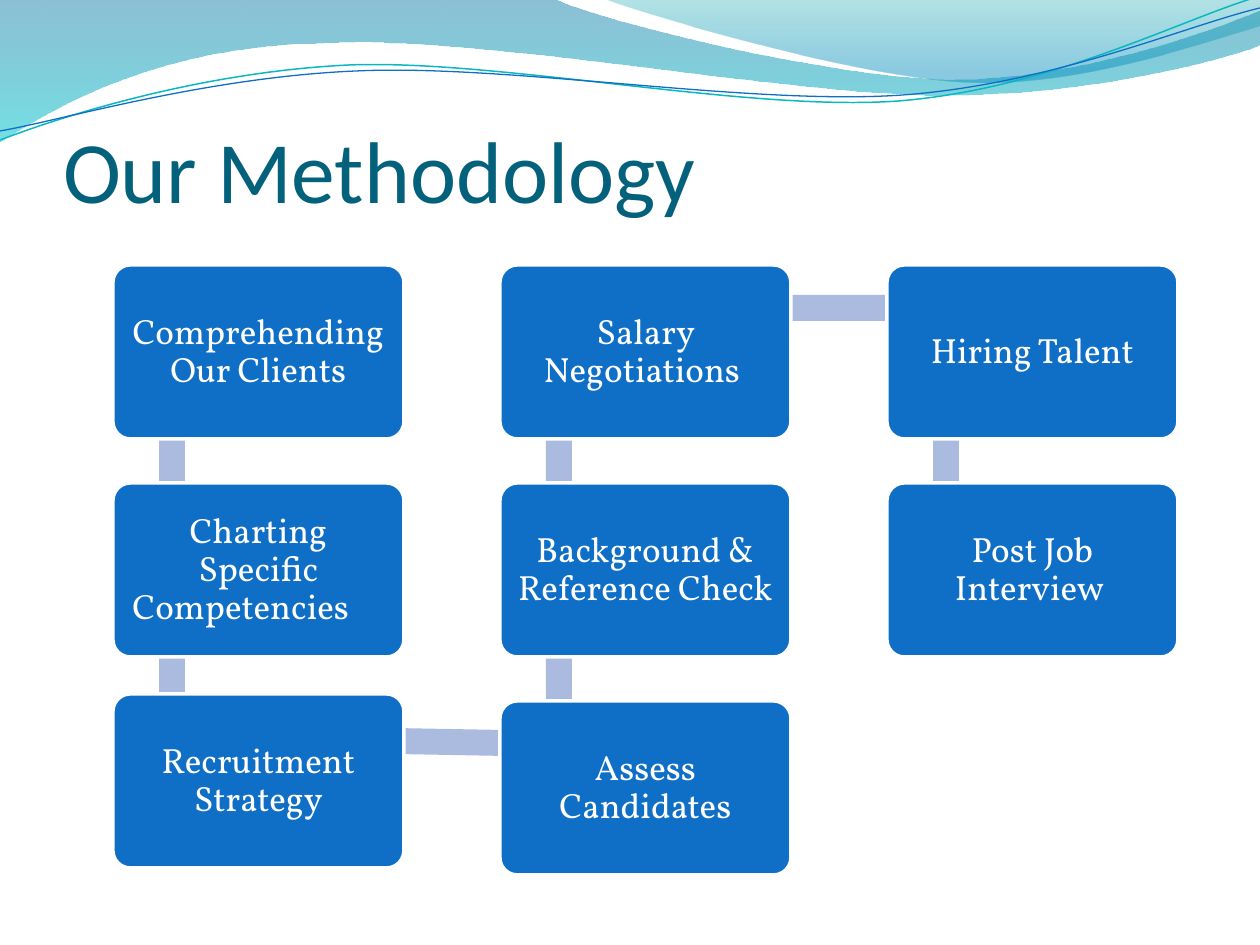
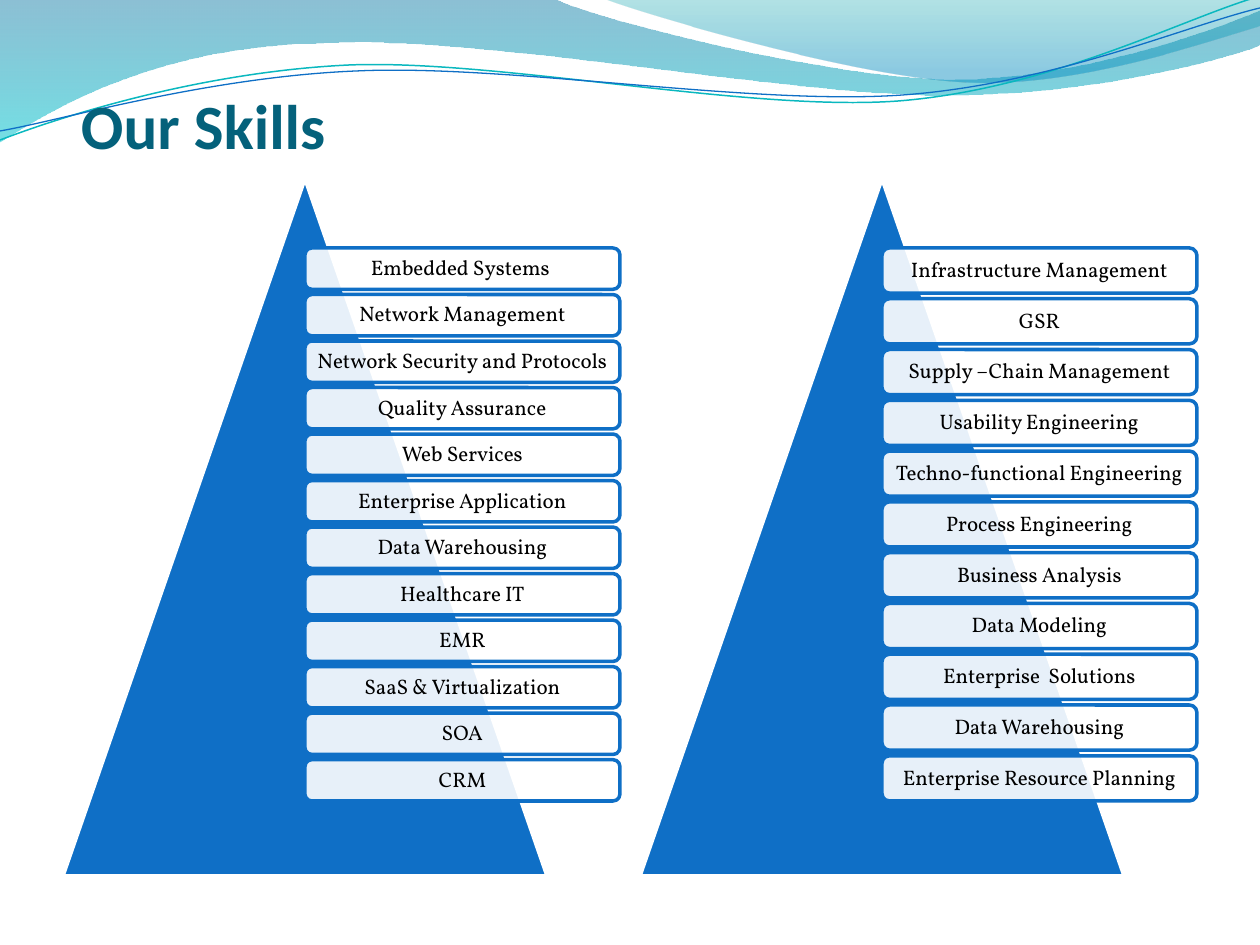
import math
from pptx import Presentation, util as u
from pptx.dml.color import RGBColor
from pptx.enum import shapes, text
from pptx.oxml import ns, xmlchemy

SCALE = 914400 / 126
BLUE = RGBColor(0x0F, 0x6F, 0xC6)
TEAL = RGBColor(0x0A, 0xB8, 0xBF)
TITLE_COLOR = RGBColor(0x04, 0x61, 0x7B)
BAR_COLOR = RGBColor(0xAB, 0xBB, 0xDF)
BAND_TOP = RGBColor(0x00, 0x74, 0xA1)
BAND_BOTTOM = RGBColor(0x00, 0xC6, 0xCF)
SWOOSH_TOP = RGBColor(0x00, 0xA1, 0xA9)
SWOOSH_BOTTOM = RGBColor(0x00, 0x8B, 0xBF)
WHITE = RGBColor(0xFF, 0xFF, 0xFF)
BLACK = RGBColor(0x00, 0x00, 0x00)
TITLE_FONT = "Calibri"
BODY_FONT = "Vollkorn"

BAND = [(0, 0), (554, -1), (600, 21, 837, 79, 955, 79),
        (1075, 79, 1207, 33, 1260, 11), (1261, 45),
        (1239, 55, 1096, 96, 940, 95), (783, 95, 481, 35, 324, 43),
        (163, 45, 58, 105, -1, 142)]
SWOOSH = [(604, -1), (641, 14, 859, 78, 969, 82),
          (1079, 87, 1211, 40, 1260, 26), (1260, 0)]
TEAL_WAVE = [(0, 140), (60, 117, 199, 72, 349, 65),
             (498, 59, 747, 112, 898, 101), (1050, 89, 1182, 19, 1257, -3)]
BLUE_WAVE = [(0, 131), (59, 121, 207, 77, 357, 71),
             (508, 64, 752, 106, 903, 95), (1053, 84, 1185, 26, 1260, 8)]

COLUMNS = [113, 500, 887]
STEP_WIDTH, STEP_HEIGHT = 291, 174
STEPS = [
    ("Comprehending Our Clients", 0, 265),
    ("Charting Specific Competencies\t", 0, 483),
    ("Recruitment Strategy", 0, 694),
    ("Assess Candidates", 1, 701),
    ("Background & Reference Check ", 1, 483),
    ("Salary Negotiations ", 1, 265),
    ("Hiring Talent", 2, 265),
    ("Post Job Interview ", 2, 483),
]

TECHNOLOGY_SKILLS = [
    "Embedded Systems ", "Network Management", "Network Security and Protocols",
    "Quality Assurance", "Web Services", "Enterprise Application",
    "Data Warehousing", "Healthcare IT", "EMR", "SaaS & Virtualization",
    "SOA", "CRM",
]
BUSINESS_SKILLS = [
    "Infrastructure Management", "GSR", "Supply \u2013Chain Management",
    "Usability Engineering", "Techno-functional Engineering",
    "Process Engineering", "Business Analysis", "Data Modeling",
    "Enterprise  Solutions", "Data Warehousing",
    "Enterprise Resource Planning",
]


def px(value):
    return u.Emu(round(value * SCALE))


def set_opacity(shape, *percents):
    colors = shape.element.spPr.iter(ns.qn("a:srgbClr"))
    for color, percent in zip(colors, percents):
        alpha = xmlchemy.OxmlElement("a:alpha")
        alpha.set("val", str(percent * 1000))
        color.append(alpha)


def bend_segments(shape, segments):
    lines = shape.element.spPr.iter(ns.qn("a:lnTo"))
    lines = iter(list(lines))
    for segment in segments:
        group = [next(lines) for _ in range(len(segment) // 2)]
        if len(group) == 3:
            curve = xmlchemy.OxmlElement("a:cubicBezTo")
            group[0].addprevious(curve)
            for line in group:
                curve.append(line[0])
                line.getparent().remove(line)


def add_outline(slide, segments, close):
    points = [(px(x), px(y)) for segment in segments
              for x, y in zip(segment[::2], segment[1::2])]
    builder = slide.shapes.build_freeform(*points[0], scale=1.0)
    builder.add_line_segments(points[1:], close=close)
    shape = builder.convert_to_shape()
    bend_segments(shape, segments[1:])
    shape.shadow.inherit = False
    return shape


def add_gradient_area(slide, segments, stops):
    shape = add_outline(slide, segments, True)
    shape.fill.gradient()
    shape.fill.gradient_angle = 270
    for stop, (position, color, _) in zip(shape.fill.gradient_stops, stops):
        stop.position = position
        stop.color.rgb = color
    set_opacity(shape, *[opacity for _, _, opacity in stops])
    shape.line.fill.background()
    return shape


def add_wave_line(slide, segments, color, width):
    shape = add_outline(slide, segments, False)
    shape.fill.background()
    shape.line.color.rgb = color
    shape.line.width = u.Pt(width)
    return shape


def add_waves_to_layout(slide):
    waves = [
        add_gradient_area(slide, BAND, [(0, BAND_TOP, 45), (1, BAND_BOTTOM, 55)]),
        add_gradient_area(slide, SWOOSH, [(0, SWOOSH_TOP, 30), (0.8, SWOOSH_BOTTOM, 45)]),
        add_wave_line(slide, TEAL_WAVE, TEAL, 0.85),
        add_wave_line(slide, BLUE_WAVE, BLUE, 0.75),
    ]
    tree = slide.slide_layout.shapes.element
    for index, wave in enumerate(waves):
        wave.element.nvSpPr.cNvPr.id = 20 + index
        tree.insert(2 + index, wave.element)


def set_title(slide, words, left, top, size, bold=False, indent=0, raise_by=0):
    title = slide.shapes.title
    title.left, title.top, title.width, title.height = map(px, (left, top, 1134, 158))
    frame = title.text_frame
    frame.text = words
    frame.auto_size = text.MSO_AUTO_SIZE.NONE
    frame.vertical_anchor = text.MSO_ANCHOR.BOTTOM
    frame.margin_left, frame.margin_right = px(indent), 0
    frame.margin_top, frame.margin_bottom = px(6), px(raise_by)
    paragraph = frame.paragraphs[0]
    paragraph.alignment = text.PP_ALIGN.LEFT
    style_font(paragraph.font, TITLE_FONT, size, TITLE_COLOR)
    paragraph.font.bold = bold


def style_font(font, name, size, color):
    font.name = name
    font.size = u.Pt(size)
    font.color.rgb = color


def add_block(slide, kind, left, top, width, height, fill, line=None, opacity=None):
    shape = slide.shapes.add_shape(kind, px(left), px(top), px(width), px(height))
    shape.shadow.inherit = False
    shape.fill.solid()
    shape.fill.fore_color.rgb = fill
    if opacity:
        set_opacity(shape, opacity)
    if line is None:
        shape.line.fill.background()
    else:
        shape.line.color.rgb = line
        shape.line.width = u.Pt(2)
    return shape


def set_label(shape, words, size, color, margin):
    frame = shape.text_frame
    frame.text = words
    frame.word_wrap = True
    frame.vertical_anchor = text.MSO_ANCHOR.MIDDLE
    frame.margin_left = frame.margin_right = px(margin)
    frame.margin_top = frame.margin_bottom = px(margin)
    paragraph = frame.paragraphs[0]
    paragraph.alignment = text.PP_ALIGN.CENTER
    paragraph.line_spacing = 0.9
    style_font(paragraph.font, BODY_FONT, size, color)


def add_bar(slide, start, end):
    length = math.dist(start, end)
    middle_x, middle_y = (start[0] + end[0]) / 2, (start[1] + end[1]) / 2
    bar = add_block(slide, shapes.MSO_SHAPE.RECTANGLE, middle_x - length / 2,
                    middle_y - 13, length, 26, BAR_COLOR)
    bar.rotation = math.degrees(math.atan2(end[1] - start[1], end[0] - start[0]))


def add_step_chain(slide):
    anchors = [(COLUMNS[column] + 59, top + 43) for _, column, top in STEPS]
    for index, (words, column, top) in enumerate(STEPS):
        if index + 1 < len(STEPS):
            add_bar(slide, anchors[index], anchors[index + 1])
        box = add_block(slide, shapes.MSO_SHAPE.ROUNDED_RECTANGLE, COLUMNS[column],
                        top, STEP_WIDTH, STEP_HEIGHT, BLUE, WHITE)
        box.adjustments[0] = 0.1
        set_label(box, words, 20, WHITE, 11)


def add_skill_pyramid(slide, left, skills):
    add_block(slide, shapes.MSO_SHAPE.ISOSCELES_TRIANGLE, left, 179, 484, 697, BLUE, WHITE)
    height = 553 / (len(skills) + (len(skills) - 1) / 8)
    for index, skill in enumerate(skills):
        box = add_block(slide, shapes.MSO_SHAPE.ROUNDED_RECTANGLE, left + 242,
                        248 + index * height * 9 / 8, 315, height, WHITE, BLUE, 90)
        set_label(box, skill, 12, BLACK, 6)


def main():
    presentation = Presentation()
    presentation.slide_width = px(1260)
    presentation.slide_height = px(945)
    layout = presentation.slide_layouts[5]

    methodology = presentation.slides.add_slide(layout)
    add_waves_to_layout(methodology)
    set_title(methodology, "Our Methodology", 63, 63, 50)
    add_step_chain(methodology)

    skills = presentation.slides.add_slide(layout)
    set_title(skills, "Our Skills", 53, 42, 36, bold=True, indent=28, raise_by=38)
    add_skill_pyramid(skills, 63, TECHNOLOGY_SKILLS)
    add_skill_pyramid(skills, 640, BUSINESS_SKILLS)

    presentation.save("out.pptx")


main()
